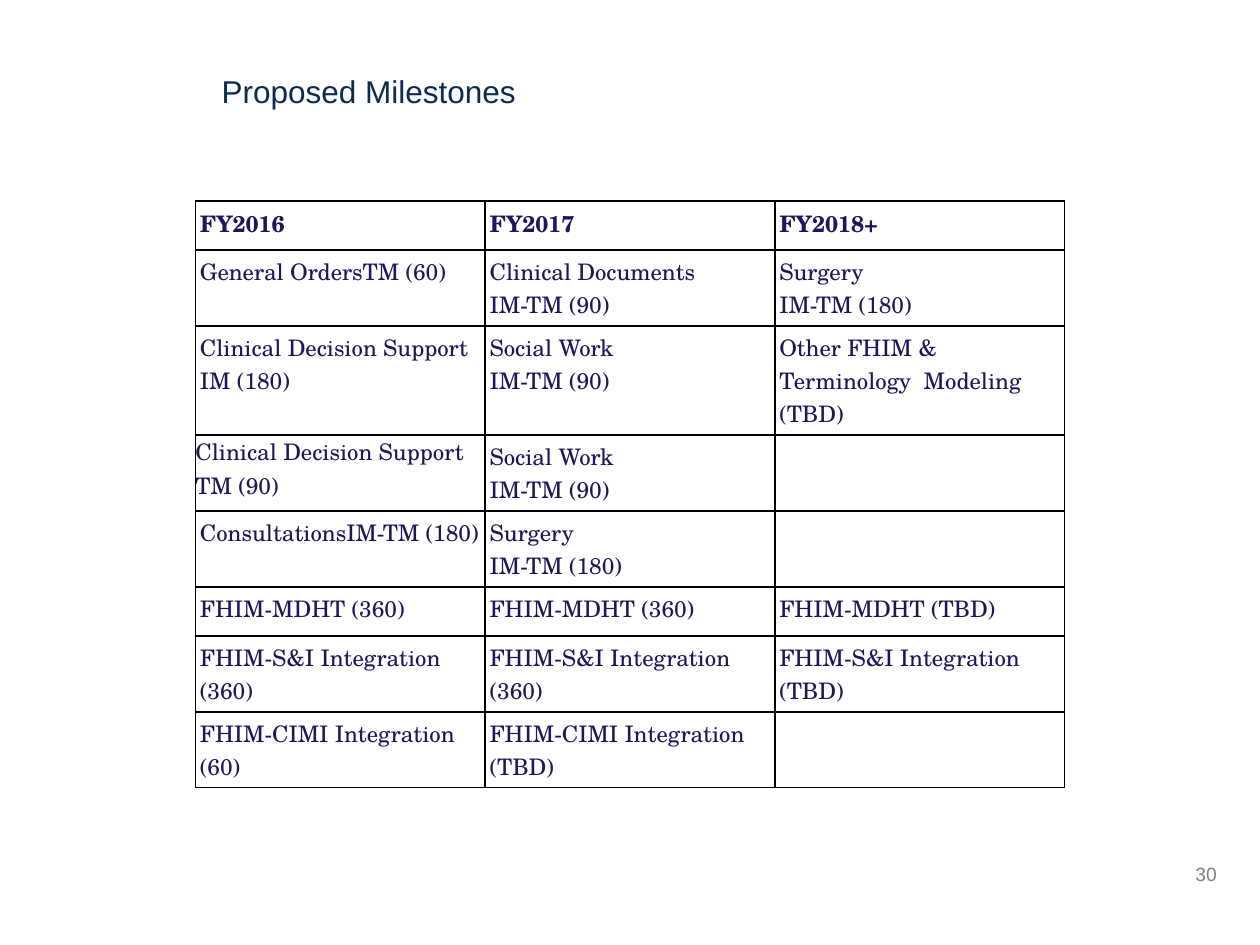
from lxml import etree
from pptx import Presentation
from pptx.dml.color import RGBColor
from pptx.enum.text import MSO_ANCHOR, PP_ALIGN
from pptx.oxml.ns import qn
from pptx.util import Cm, Pt

MIDDLE, TOP = MSO_ANCHOR.MIDDLE, MSO_ANCHOR.TOP
LEFT, RIGHT = PP_ALIGN.LEFT, PP_ALIGN.RIGHT
NAVY = RGBColor(0x0C, 0x2C, 0x4E)
INDIGO = RGBColor(0x1D, 0x16, 0x5A)
GRAY = RGBColor(0x80, 0x80, 0x80)
BLACK = RGBColor(0, 0, 0)

TITLE = "Proposed Milestones"
PAGE_NUMBER = "30"
MILESTONES = [
    ("FY2016", "FY2017", "FY2018+"),
    ("General OrdersTM (60)", "Clinical Documents\nIM-TM (90)", "Surgery\nIM-TM (180)"),
    ("Clinical Decision Support IM (180)", "Social Work\nIM-TM (90)",
     "Other FHIM & Terminology  Modeling (TBD)"),
    ("Clinical Decision Support TM (90)", "Social Work\nIM-TM (90)", ""),
    ("ConsultationsIM-TM (180)", "Surgery\nIM-TM (180)", ""),
    ("FHIM-MDHT (360)", "FHIM-MDHT (360)", "FHIM-MDHT (TBD)"),
    ("FHIM-S&I Integration (360)", "FHIM-S&I Integration (360)", "FHIM-S&I Integration (TBD)"),
    ("FHIM-CIMI Integration (60)", "FHIM-CIMI Integration (TBD)", ""),
]
ROW_LINES = (1, 2, 3, 2, 2, 1, 2, 2)
HEIGHT_BY_LINES = {1: Cm(0.99), 2: Cm(1.53), 3: Cm(2.2)}
FLUSH_CELL = (3, 0)
COLUMN_WIDTH = Cm(5.84)
CELL_INSET = Cm(0.09)


def set_margins(target, inset):
    target.margin_left = target.margin_right = inset
    target.margin_top = target.margin_bottom = inset


def set_font(paragraph, name, size, color, bold=False):
    font = paragraph.font
    font.name, font.size, font.bold = name, Pt(size), bold
    font.color.rgb = color


def add_label(slide, text, box, size, color, inset, align=LEFT, anchor=TOP, wrap=True):
    frame = slide.shapes.add_textbox(*map(Cm, box)).text_frame
    frame.word_wrap = wrap
    frame.vertical_anchor = anchor
    set_margins(frame, inset)
    frame.text = text
    paragraph = frame.paragraphs[0]
    paragraph.alignment = align
    set_font(paragraph, "Arial", size, color)


def add_borders(cell):
    properties = cell._tc.get_or_add_tcPr()
    for index, side in enumerate(("a:lnL", "a:lnR", "a:lnT", "a:lnB")):
        line = etree.Element(qn(side), w=str(Pt(1)))
        fill = etree.SubElement(line, qn("a:solidFill"))
        etree.SubElement(fill, qn("a:srgbClr"), val=str(BLACK))
        properties.insert(index, line)


def add_milestones(slide):
    row_heights = [HEIGHT_BY_LINES[lines] for lines in ROW_LINES]
    column_count = len(MILESTONES[0])
    table = slide.shapes.add_table(
        len(MILESTONES), column_count, Cm(3.94), Cm(4.05),
        COLUMN_WIDTH * column_count, sum(row_heights)).table
    table.horz_banding = False
    table.first_row = False
    for column in table.columns:
        column.width = COLUMN_WIDTH
    for row, texts in enumerate(MILESTONES):
        table.rows[row].height = row_heights[row]
        for column, text in enumerate(texts):
            cell = table.cell(row, column)
            cell.text = text
            cell.fill.background()
            set_margins(cell, 0 if (row, column) == FLUSH_CELL else CELL_INSET)
            for paragraph in cell.text_frame.paragraphs:
                set_font(paragraph, "TeX Gyre Schola", 13, INDIGO, bold=row == 0)
            add_borders(cell)


def main():
    presentation = Presentation()
    presentation.slide_width, presentation.slide_height = Cm(25.4), Cm(19.05)
    slide = presentation.slides.add_slide(presentation.slide_layouts[6])
    add_label(slide, PAGE_NUMBER, (23.95, 17.25, 0.71, 0.66), 11, GRAY, Cm(0.13),
              align=RIGHT, wrap=False)
    add_milestones(slide)
    add_label(slide, TITLE, (4.37, 1.37, 18.75, 0.91), 18, NAVY, Cm(0.1), anchor=MIDDLE)
    presentation.save("out.pptx")


if __name__ == "__main__":
    main()
